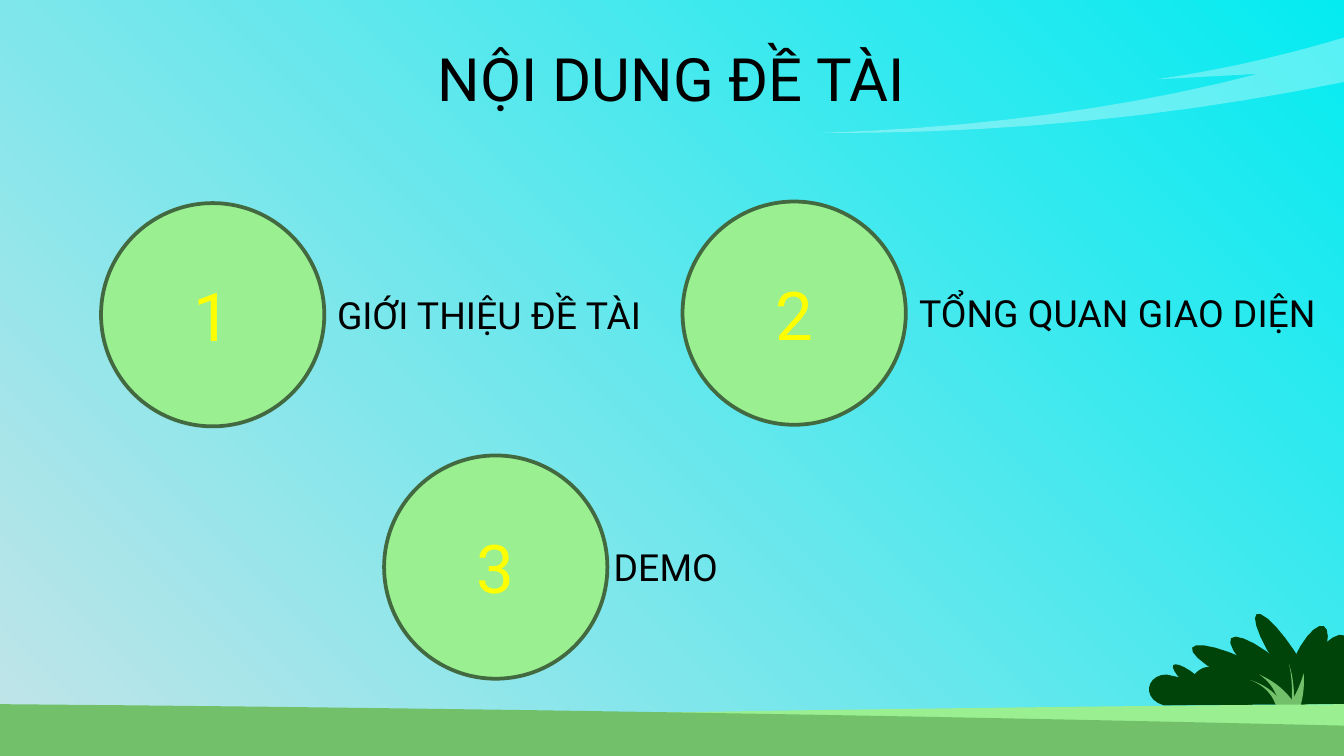
from math import comb, cos, pi, sin

from lxml import etree
from pptx import Presentation
from pptx.dml.color import RGBColor
from pptx.enum.shapes import MSO_SHAPE
from pptx.enum.text import MSO_ANCHOR, MSO_AUTO_SIZE, PP_ALIGN
from pptx.oxml.ns import qn
from pptx.util import Cm, Pt

OVAL = MSO_SHAPE.OVAL
MIDDLE = MSO_ANCHOR.MIDDLE
GROW = MSO_AUTO_SIZE.SHAPE_TO_FIT_TEXT
LEFT, CENTER = PP_ALIGN.LEFT, PP_ALIGN.CENTER

BLACK = RGBColor(0x00, 0x00, 0x00)
WHITE = RGBColor(0xFF, 0xFF, 0xFF)
YELLOW = RGBColor(0xFF, 0xFF, 0x00)
MIST = RGBColor(0xC3, 0xE4, 0xE8)
CYAN = RGBColor(0x04, 0xEB, 0xF1)
LIGHT_GREEN = RGBColor(0x9A, 0xEF, 0x91)
GRASS_GREEN = RGBColor(0x72, 0xC1, 0x6A)
DARK_GREEN = RGBColor(0x00, 0x44, 0x0A)
RIM_GREEN = RGBColor(0x43, 0x69, 0x40)

FONT = "Roboto"
CM_PER_INCH = 2.54
STEPS = 10
DIAMETER = 4.22
LABEL_DROP = 1.55

BUSH = [(8.66, 5.25), (8.49, 5.2, 8.53, 5.02, 8.68, 5.02), (8.86, 5.06),
        (8.95, 4.9, 9.13, 5), (9.2, 4.83, 9.39, 4.91), (9.62, 4.78, 9.68, 5.04),
        (9.77, 4.98), (9.84, 4.84, 10, 4.87), (10, 5.24)]
LEAVES = [
    (9.35, 4.57, 9.77, 5.21, 0.17),
    (8.73, 4.95, 9.01, 5.18, 0.1),
    (9.16, 4.75, 9.74, 5.24, 0.2),
    (9.85, 4.66, 9.6, 5.2, 0.2),
    (10, 4.73, 9.65, 5.23, 0.2),
    (10.24, 4.65, 9.85, 5.2, 0.2),
    (8.87, 4.82, 9.56, 5.14, 0.18),
]
GRASS_BLADES = [
    (9.3, 5.06, 9.49, 5.12, 9.53, 5.27, 0.06),
    (9.37, 5.02, 9.55, 5.1, 9.58, 5.25, 0.12),
    (9.7, 5.01, 9.71, 5.14, 9.63, 5.26, 0.09),
    (9.59, 4.94, 9.63, 5.05, 9.62, 5.23, 0.02),
]
FAR_HILL = [(10, 5.24), (10, 5.63), (0, 5.63), (0, 5.4), (5.12, 5.28, 10, 5.24)]
NEAR_HILL = [(0, 5.24), (4.88, 5.28, 10, 5.4), (10, 5.63), (0, 5.63)]
CLOUD = [(10, 0.28), (10, 0.61), (8.1, 1, 6.11, 0.99), (7.9, 0.93, 9.36, 0.55),
         (8.61, 0.59), (9.3, 0.49, 10, 0.28)]

TOPICS = [
    ("1", "GIỚI THIỆU ĐỀ TÀI", 1.91, 3.84, 6.12, 6.58),
    ("2", "TỔNG QUAN GIAO DIỆN", 12.9, 3.81, 17.12, 8.28),
    ("3", "DEMO", 7.26, 8.61, 11.35, 2.69),
]


def curve_points(start, curve):
    anchors = [start, *zip(curve[::2], curve[1::2])]
    degree = len(anchors) - 1
    for step in range(1, STEPS + 1):
        t = step / STEPS
        weights = [comb(degree, i) * t ** i * (1 - t) ** (degree - i) for i in range(degree + 1)]
        yield tuple(sum(w * a[axis] for w, a in zip(weights, anchors)) for axis in (0, 1))


def leaf_outline(tip_x, tip_y, base_x, base_y, width):
    run, rise = base_x - tip_x, base_y - tip_y
    length = (run ** 2 + rise ** 2) ** 0.5
    outline = []
    for step in range(2 * STEPS):
        angle = pi * step / STEPS
        along = (1 - cos(angle)) / 2
        across = sin(angle) * width / 2 / length
        outline.append((tip_x + along * run - across * rise, tip_y + along * rise + across * run))
    return outline


def blade_outline(tip_x, tip_y, bend_x, bend_y, base_x, base_y, width):
    half = width / 2
    return [(tip_x, tip_y), (bend_x - half, bend_y, base_x - half, base_y),
            (base_x + half, base_y), (bend_x, bend_y, tip_x, tip_y)]


def add_outline(page, outline, color, opacity=None):
    points = [outline[0]]
    for part in outline[1:]:
        points.extend([part] if len(part) == 2 else curve_points(points[-1], part))
    lengths = [(Cm(x * CM_PER_INCH), Cm(y * CM_PER_INCH)) for x, y in points]
    builder = page.shapes.build_freeform(*lengths[0])
    builder.add_line_segments(lengths[1:], close=True)
    shape = builder.convert_to_shape()
    shape.shadow.inherit = False
    shape.fill.solid()
    shape.fill.fore_color.rgb = color
    shape.line.fill.background()
    if opacity is not None:
        tint = shape.element.spPr.find(".//" + qn("a:srgbClr"))
        etree.SubElement(tint, qn("a:alpha"), val=str(opacity * 1000))


def write_text(shape, text, size=20, color=BLACK, align=LEFT):
    para = shape.text_frame.paragraphs[0]
    para.alignment = align
    span = para.add_run()
    span.text = text
    span.font.name = FONT
    span.font.size = Pt(size)
    span.font.color.rgb = color


def add_text(page, text, left, top, width, height, **style):
    box = page.shapes.add_textbox(Cm(left), Cm(top), Cm(width), Cm(height))
    box.text_frame.word_wrap = True
    box.text_frame.auto_size = GROW
    write_text(box, text, **style)


def add_topic(page, number, label, left, top, label_left, label_width):
    circle = page.shapes.add_shape(OVAL, Cm(left), Cm(top), Cm(DIAMETER), Cm(DIAMETER))
    circle.shadow.inherit = False
    circle.fill.solid()
    circle.fill.fore_color.rgb = LIGHT_GREEN
    circle.line.color.rgb = RIM_GREEN
    circle.line.width = Pt(2)
    circle.text_frame.vertical_anchor = MIDDLE
    write_text(circle, number, size=36, color=YELLOW, align=CENTER)
    add_text(page, label, label_left, top + LABEL_DROP, label_width, 1.12)


def paint_sky(page):
    fill = page.background.fill
    fill.gradient()
    for stop, color, position in zip(fill.gradient_stops, (MIST, CYAN), (0, 1)):
        stop.color.rgb = color
        stop.position = position
    gradient = page.element.find(".//" + qn("a:gradFill"))
    radial = etree.Element(qn("a:path"), path="circle")
    etree.SubElement(radial, qn("a:fillToRect"), t="100000", r="100000")
    gradient.replace(gradient.find(qn("a:lin")), radial)


def main():
    deck = Presentation()
    deck.slide_width, deck.slide_height = Cm(25.4), Cm(14.29)
    page = deck.slides.add_slide(deck.slide_layouts[6])
    paint_sky(page)
    add_outline(page, BUSH, DARK_GREEN)
    for leaf in LEAVES:
        add_outline(page, leaf_outline(*leaf), DARK_GREEN)
    for blade in GRASS_BLADES:
        add_outline(page, blade_outline(*blade), GRASS_GREEN)
    add_outline(page, FAR_HILL, LIGHT_GREEN)
    add_outline(page, NEAR_HILL, GRASS_GREEN)
    add_outline(page, CLOUD, WHITE, opacity=33)
    add_text(page, "NỘI DUNG ĐỀ TÀI", 5.99, 0.66, 13.41, 1.63, size=32, align=CENTER)
    for topic in TOPICS:
        add_topic(page, *topic)
    deck.save("out.pptx")


if __name__ == "__main__":
    main()
